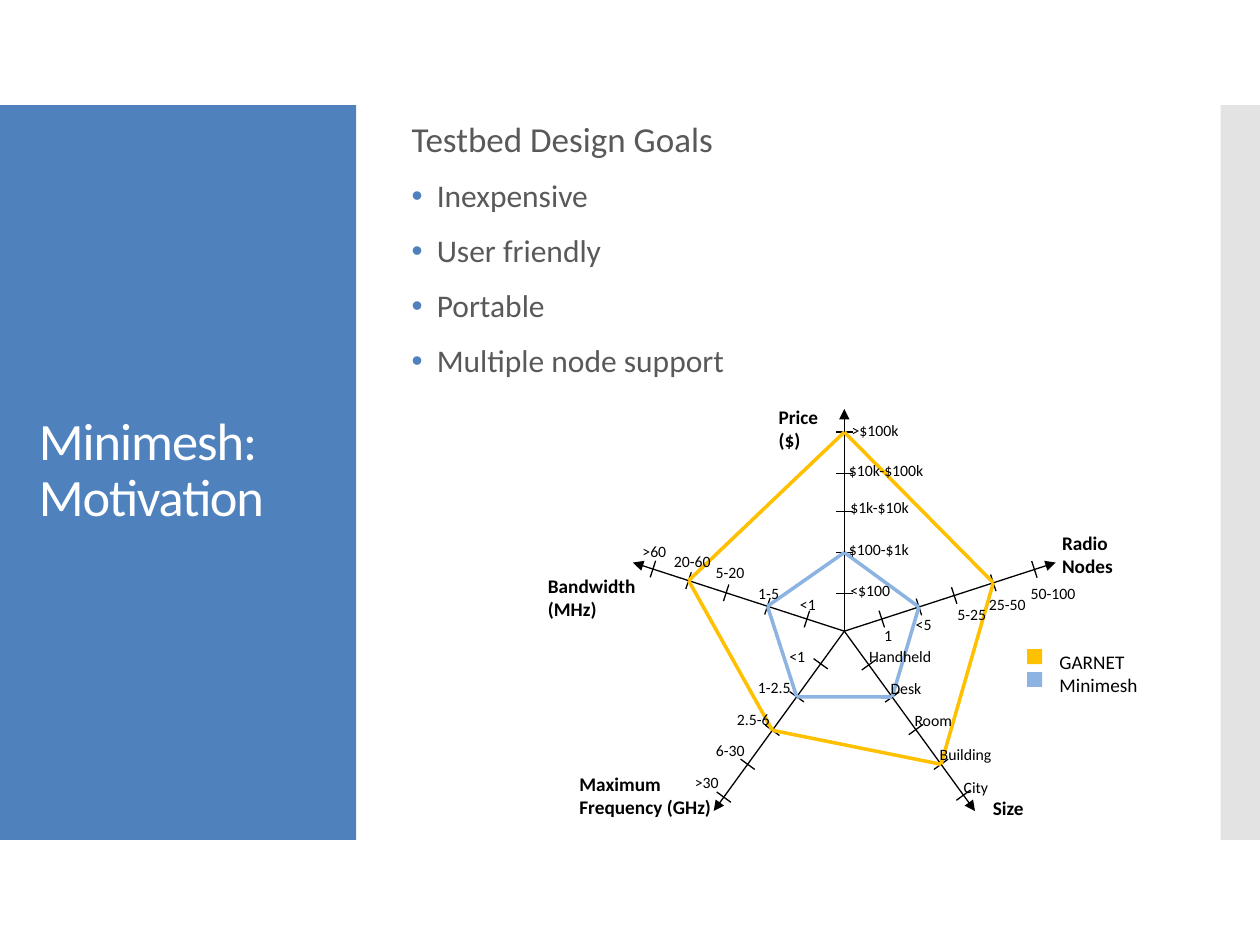
from itertools import chain
from math import cos, radians, sin

from pptx import Presentation
from pptx.dml.color import RGBColor
from pptx.enum.shapes import MSO_CONNECTOR, MSO_SHAPE
from pptx.enum.text import MSO_ANCHOR, MSO_AUTO_SIZE, PP_ALIGN
from pptx.oxml.ns import qn
from pptx.util import Pt
from lxml.etree import SubElement

COLORS = {
    "panel": "4F81BD", "strip": "C8C8C8", "title": "FFFFFF", "body": "595959",
    "ink": "000000", "garnet": "FFC000", "minimesh": "8DB3E2",
}
FONT = "Calibri"


def add_run(paragraph, text, size, color, bold=False):
    run = paragraph.add_run()
    run.text = text
    run.font.name = FONT
    run.font.size = Pt(size)
    run.font.bold = bold
    run.font.color.rgb = RGBColor.from_string(COLORS[color])
    return run


def add_line(start, end, color, width):
    line = slide.shapes.add_connector(
        MSO_CONNECTOR.STRAIGHT, *(Pt(value) for value in (*start, *end)))
    line.line.color.rgb = RGBColor.from_string(COLORS[color])
    line.line.width = Pt(width)
    SubElement(line._element.spPr, qn("a:effectLst"))
    return line


prs = Presentation()
prs.slide_width, prs.slide_height = Pt(720), Pt(540)
slide = prs.slides.add_slide(prs.slide_layouts[1])
title, goals = slide.shapes.title, slide.placeholders[1]

# Side panels and legend swatches; the panels go behind the placeholders
blocks = [
    (0, 60, 203.5, 420, "panel"),
    (697.5, 60, 22.5, 420, "strip"),
    (587, 371, 8.6, 8.6, "garnet"),
    (587, 384, 8.6, 8.6, "minimesh"),
]
for left, top, width, height, color in blocks:
    block = slide.shapes.add_shape(
        MSO_SHAPE.RECTANGLE, Pt(left), Pt(top), Pt(width), Pt(height))
    block.shadow.inherit = False
    block.fill.solid()
    block.fill.fore_color.rgb = RGBColor.from_string(COLORS[color])
    block.line.fill.background()
    if color in ("panel", "strip"):
        slide.shapes._spTree.insert(2, block._element)
    if color == "strip":
        fill_color = block._element.spPr.find(qn("a:solidFill"))[0]
        SubElement(fill_color, qn("a:alpha"), val="50000")

# Title
title.left, title.top, title.width, title.height = Pt(15), Pt(88.5), Pt(174), Pt(362)
title.text_frame.auto_size = MSO_AUTO_SIZE.NONE
title.text_frame.vertical_anchor = MSO_ANCHOR.MIDDLE
heading = title.text_frame.paragraphs[0]
heading.alignment = PP_ALIGN.LEFT
heading.line_spacing = 0.9
name_run = add_run(heading, "Minimesh:", 30, "title")
heading.add_line_break()
topic_run = add_run(heading, "Motivation", 30, "title")
for run in (name_run, topic_run):
    run.font._element.set("spc", "-60")

# Design goals
goals.left, goals.top, goals.width, goals.height = Pt(228), Pt(66), Pt(432), Pt(403)
goals.text_frame.auto_size = MSO_AUTO_SIZE.NONE
goals.text_frame.vertical_anchor = MSO_ANCHOR.TOP
goals.text_frame._txBody.bodyPr.set("numCol", "2")
goal_lines = ["Testbed Design Goals", "Inexpensive", "User friendly",
              "Portable", "Multiple node support"]
for index, text in enumerate(goal_lines):
    goal = goals.text_frame.add_paragraph() if index else goals.text_frame.paragraphs[0]
    goal.line_spacing = 0.9
    goal.space_before = Pt(12)
    props = goal._p.get_or_add_pPr()
    indent = Pt(14.4) if index else 0
    props.set("marL", str(indent))
    props.set("indent", str(-indent))
    if index:
        bullet_color = SubElement(props, qn("a:buClr"))
        SubElement(bullet_color, qn("a:srgbClr"), val=COLORS["panel"])
        SubElement(props, qn("a:buFont"), typeface="Arial")
        SubElement(props, qn("a:buChar"), char="•")
    else:
        SubElement(props, qn("a:buNone"))
    add_run(goal, text, 18 if index else 20, "body")

# Radar axes in clockwise order: angle, tick radii, tick labels with left and top
CENTER = (482.5, 360.7)
AXIS_LENGTH, HALF_TICK = 127, 5
axes = [
    (90, (21.6, 45, 68.5, 90, 113.8), [
        ("<$100", 478.8, 328.3), ("$100-$1k", 478, 304.6), ("$1k-$10k", 478.8, 280.8),
        ("$10k-$100k", 478, 259.9), (">$100k", 479.5, 236.9)]),
    (18, (22.5, 44.8, 66, 89.5, 114.2), [
        ("1", 498.2, 354.2), ("<5", 516.2, 347.8), ("5-25", 540, 342),
        ("25-50", 558, 336.2), ("50-100", 581.8, 329.8)]),
    (-54, (23.8, 46.5, 69.5, 94, 115.8), [
        ("Handheld", 489.6, 365.8), ("Desk", 501.8, 384.5), ("Room", 515.5, 402.5),
        ("Building", 529.9, 421.9), ("City", 543.6, 440.6)]),
    (-126, (23, 46.3, 70, 94, 117.2), [
        ("<1", 444, 366), ("1-2.5", 426, 384), ("2.5-6", 414, 402),
        ("6-30", 402, 420), (">30", 390, 438)]),
    (162, (22.5, 46.2, 71, 93.6, 115), [
        ("<1", 450, 336.2), ("1-5", 426.2, 329.8), ("5-20", 401.8, 318.2),
        ("20-60", 378, 311.8), (">60", 360, 306)]),
]
tick_points = []
for angle, radii, tick_labels in axes:
    dx, dy = cos(radians(angle)), -sin(radians(angle))
    tip = (CENTER[0] + AXIS_LENGTH * dx, CENTER[1] + AXIS_LENGTH * dy)
    axis = add_line(CENTER, tip, "ink", 0.75)
    SubElement(axis.line._get_or_add_ln(), qn("a:tailEnd"), type="triangle")
    points = [(CENTER[0] + r * dx, CENTER[1] + r * dy) for r in radii]
    tick_points.append(points)
    for x, y in points:
        add_line((x - HALF_TICK * dy, y + HALF_TICK * dx),
                 (x + HALF_TICK * dy, y - HALF_TICK * dx), "ink", 0.75)

# Testbed outlines: the tick reached on each axis
levels = {"minimesh": (2, 2, 2, 2, 2), "garnet": (5, 4, 4, 3, 4)}
for testbed, reached in levels.items():
    corners = [points[level - 1] for points, level in zip(tick_points, reached)]
    for start, end in zip(corners, corners[1:] + corners[:1]):
        add_line(start, end, testbed, 2)

# Axis names, legend entries and tick labels: text, left, top, width, size, bold
captions = [
    ("Price ($)", 437.8, 228.2, 38, 11, True),
    ("Radio Nodes", 599.8, 300.2, 55.5, 11, True),
    ("Size", 560.2, 451.4, 38, 11, True),
    ("Bandwidth (MHz)", 306, 324.7, 71.3, 11, True),
    ("Maximum Frequency (GHz)", 324, 437.8, 100, 11, True),
    ("GARNET", 598.3, 367.9, 62, 11, False),
    ("Minimesh", 598.3, 380.9, 70, 11, False),
]
ticks = [(*label, 68, 9, False) for label in chain(*(axis[2] for axis in axes))]
for text, left, top, width, size, bold in captions + ticks:
    caption = slide.shapes.add_textbox(Pt(left), Pt(top), Pt(width), Pt(15))
    caption.text_frame.word_wrap = True
    words = caption.text_frame.paragraphs[0]
    words.space_after = Pt(10)
    add_run(words, text, size, "ink", bold)

prs.save("out.pptx")
